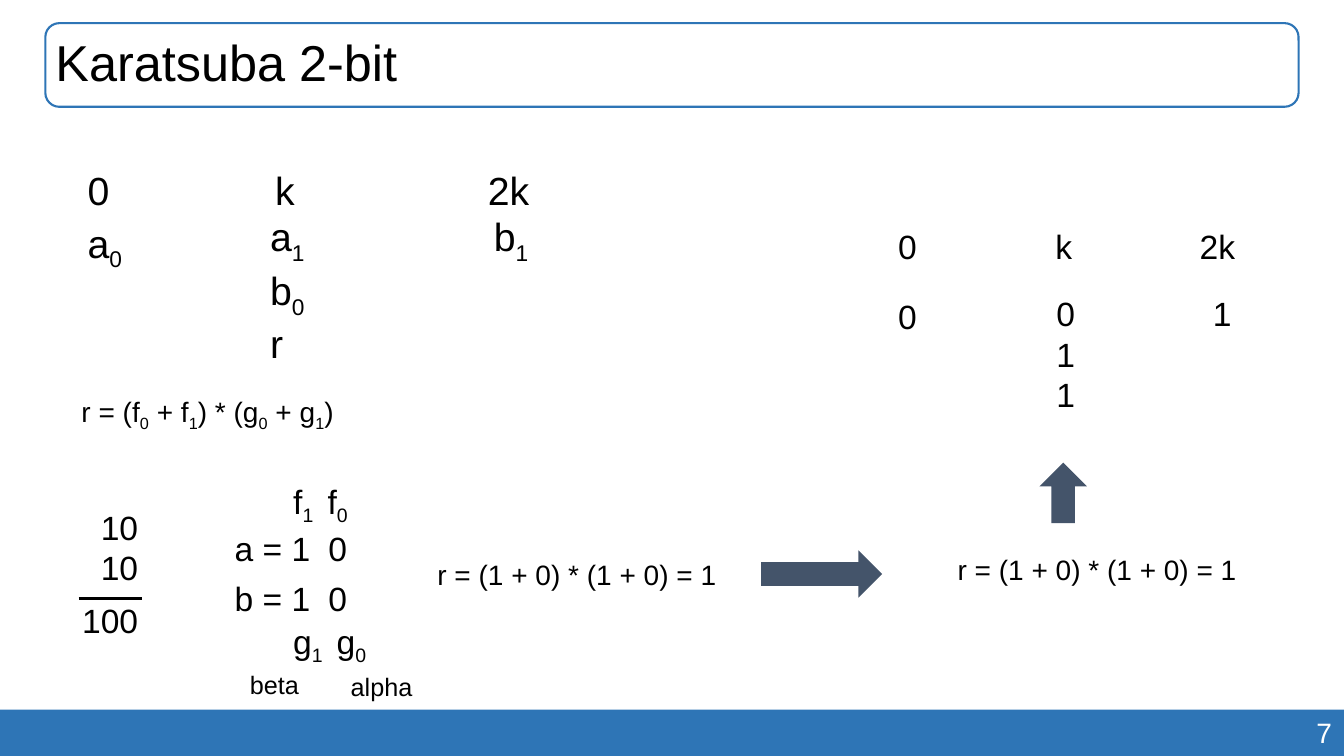
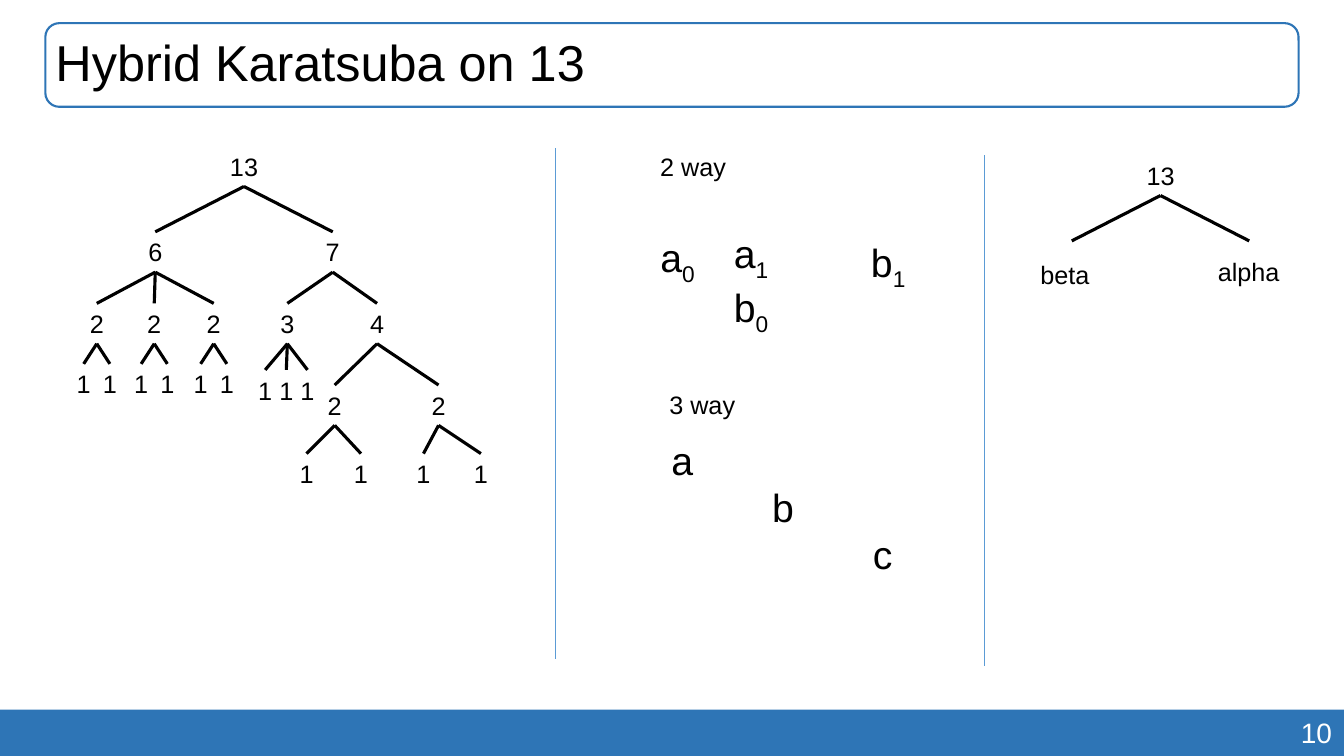
from dataclasses import dataclass

from lxml import etree
from pptx import Presentation
from pptx.dml.color import RGBColor
from pptx.enum.shapes import MSO_CONNECTOR, MSO_SHAPE
from pptx.enum.text import MSO_ANCHOR, MSO_AUTO_SIZE, PP_ALIGN
from pptx.oxml.ns import qn
from pptx.util import Inches, Pt

LEFT, MID, RIGHT = PP_ALIGN.LEFT, PP_ALIGN.CENTER, PP_ALIGN.RIGHT
RECT, ROUND = MSO_SHAPE.RECTANGLE, MSO_SHAPE.ROUNDED_RECTANGLE
EAST, NORTH = MSO_SHAPE.RIGHT_ARROW, MSO_SHAPE.UP_ARROW
STRAIGHT = MSO_CONNECTOR.STRAIGHT
TOP, BOTTOM = 0, 2
TITLE_ONLY = 5


@dataclass(frozen=True)
class Theme:
    font: str = "Arial"
    ink: str = "000000"
    paper: str = "FFFFFF"
    band: str = "2E75B6"
    arrow: str = "44546A"
    rule: str = "5B9BD5"
    title: int = 36
    large: int = 28
    text: int = 24
    note: int = 20
    small: int = 18


THEME = Theme()


def color(code):
    return RGBColor.from_string(code)


def write(frame, text, size=THEME.text, ink=THEME.ink, align=LEFT,
          lead=None, gaps=(), tabs=()):
    """Fill a frame; an underscore lowers the next character."""
    for n, row in enumerate(text.split("\n")):
        para = frame.paragraphs[0] if n == 0 else frame.add_paragraph()
        para.alignment = align
        if lead:
            para.line_spacing = lead
        if n and n <= len(gaps):
            para.space_before = Pt(gaps[n - 1])
        if tabs:
            stops = etree.SubElement(para._p.get_or_add_pPr(), qn("a:tabLst"))
            for stop in tabs:
                etree.SubElement(stops, qn("a:tab"),
                                 pos=str(Inches(stop)), algn="l")
        first, *rest = row.split("_")
        parts = [(first, False)]
        for part in rest:
            parts += [(part[0], True), (part[1:], False)]
        for part, low in parts:
            if not part:
                continue
            run = para.add_run()
            run.text = part
            run.font.name = THEME.font
            run.font.size = Pt(size)
            run.font.color.rgb = color(ink)
            if low:
                run.font._element.set("baseline", "-25000")


class Deck:
    def __init__(self, theme):
        self.theme = theme
        self.prs = Presentation()
        self.prs.slide_width = Inches(13.33)
        self.prs.slide_height = Inches(7.5)
        self.slide = None

    def page(self, title, number):
        """Start a slide with its title, frame, band and number."""
        look = self.theme
        layout = self.prs.slide_layouts[TITLE_ONLY]
        self.slide = self.prs.slides.add_slide(layout)
        place = (0.45, 0.23, 12.43, 0.83)
        head = self.slide.shapes.title
        head.left, head.top, head.width, head.height = map(Inches, place)
        head.text_frame.vertical_anchor = MSO_ANCHOR.MIDDLE
        head.text_frame.auto_size = MSO_AUTO_SIZE.NONE
        write(head.text_frame, title, size=look.title, lead=0.9)
        self.shape(ROUND, *place, line=look.band)
        self.shape(RECT, 0, 7.04, 13.33, 0.46, fill=look.band)
        self.box(str(number), 9.41, 7.05, 3.9, 0.44, size=look.note,
                 ink=look.paper, align=RIGHT)

    def shape(self, kind, x, y, w, h, fill=None, line=None):
        item = self.slide.shapes.add_shape(kind, *map(Inches, (x, y, w, h)))
        item.shadow.inherit = False
        if fill:
            item.fill.solid()
            item.fill.fore_color.rgb = color(fill)
        else:
            item.fill.background()
        if line:
            item.line.color.rgb = color(line)
            item.line.width = Pt(1.5)
        else:
            item.line.fill.background()
        return item

    def box(self, text, x, y, w, h, **style):
        item = self.slide.shapes.add_textbox(*map(Inches, (x, y, w, h)))
        item.text_frame.word_wrap = "tabs" in style
        write(item.text_frame, text, **style)
        return item

    def line(self, start, end, ink=THEME.ink, width=2.25):
        """Draw a line; each end is a point or a box to join."""
        free = [p if isinstance(p, tuple) else (0, 0) for p in (start, end)]
        item = self.slide.shapes.add_connector(
            STRAIGHT, *map(Inches, free[0] + free[1]))
        if not isinstance(start, tuple):
            item.begin_connect(start, BOTTOM)
        if not isinstance(end, tuple):
            item.end_connect(end, TOP)
        item.line.color.rgb = color(ink)
        item.line.width = Pt(width)
        etree.SubElement(item._element.spPr, qn("a:effectLst"))

    def node(self, text, x, y):
        """Write a small label centred on x."""
        wide = 0.2 + 0.14 * len(text)
        return self.box(text, x - wide / 2, y, wide, 0.4,
                        size=self.theme.small, align=MID)

    def tree(self, text, x, y, *kids):
        """Draw a node, its children and the lines between them."""
        top = self.node(text, x, y)
        for kid in kids:
            self.line(top, self.tree(*kid))
        return top


def leaves(y, *spots):
    return [("1", x, y) for x in spots]


def two_bit(deck):
    look = deck.theme
    deck.page("Karatsuba 2-bit", 7)

    # Symbolic columns
    deck.box("0\tk\t2k", 0.77, 1.6, 4.92, 0.57, size=look.large,
             tabs=(1.86, 3.97))
    deck.box("a_0", 0.77, 2.13, 0.82, 0.71, size=look.large, lead=0.9)
    deck.box("a_1\nb_0\nr", 2.58, 2.06, 0.68, 1.51, size=look.large)
    deck.box("b_1", 4.8, 2.06, 0.68, 0.57, size=look.large)
    deck.box("r = (f_0 + f_1) * (g_0 + g_1)", 0.71, 3.86, 2.79, 0.44,
             size=look.note)

    # Product by hand
    deck.box("10\n10\n100", 0.71, 4.98, 0.76, 1.45, align=RIGHT, gaps=(0, 9))
    deck.line((0.78, 5.94), (1.41, 5.94))

    # Operands and their halves
    deck.box("f_1\tf_0", 2.81, 4.72, 0.79, 0.5, tabs=(0.34,))
    deck.box("a = 1\t0\nb = 1\t0", 2.23, 5.23, 2, 0.9, lead=0.9, gaps=(10,),
             tabs=(0.93,))
    deck.box("g_1\tg_0", 2.81, 6.11, 0.98, 0.5, tabs=(0.43,))
    deck.box("beta", 2.38, 6.59, 0.69, 0.4, size=look.small)
    deck.box("alpha", 3.38, 6.61, 0.82, 0.4, size=look.small)

    # Middle term and arrows
    for x, y in ((4.24, 5.48), (9.4, 5.43)):
        deck.box("r = (1 + 0) * (1 + 0) = 1", x, y, 3.03, 0.44,
                 size=look.note)
    deck.shape(EAST, 7.55, 5.46, 1.2, 0.47, fill=look.arrow)
    deck.shape(NORTH, 10.31, 4.59, 0.47, 0.6, fill=look.arrow)

    # Numeric columns
    deck.box("0\tk\t2k", 8.81, 2.19, 3.8, 0.5, tabs=(1.56, 2.99))
    deck.box("0", 8.81, 2.93, 0.82, 0.71, lead=0.9)
    deck.box("0\n1\n1", 10.38, 2.86, 0.48, 1.31)
    deck.box("1", 11.93, 2.86, 0.39, 0.5)


def hybrid(deck):
    look = deck.theme
    deck.page("Hybrid Karatsuba on 13", 10)

    # Full split tree
    pairs = [("2", x, 3.01, *leaves(3.61, x - 0.13, x + 0.13))
             for x in (0.96, 1.53, 2.12)]
    six = ("6", 1.54, 2.3, *pairs)
    three = ("3", 2.85, 3.01, *leaves(3.67, 2.63, 2.84, 3.05))
    four = ("4", 3.74, 3.01,
            ("2", 3.32, 3.82, *leaves(4.5, 3.04, 3.58)),
            ("2", 4.35, 3.82, *leaves(4.5, 4.2, 4.77)))
    seven = ("7", 3.3, 2.3, three, four)
    deck.tree("13", 2.42, 1.45, six, seven)

    # Two-way and three-way layouts
    deck.box("2 way", 6.45, 1.45, 0.86, 0.4, size=look.small)
    deck.box("a_0", 6.45, 2.27, 0.82, 0.71, size=look.large, lead=0.9)
    deck.box("a_1\nb_0", 7.18, 2.23, 0.68, 1.04, size=look.large)
    deck.box("b_1", 8.54, 2.32, 0.82, 0.71, size=look.large, lead=0.9)
    deck.box("3 way", 6.54, 3.81, 0.86, 0.4, size=look.small)
    deck.box("a\n\tb\n\t\tc", 6.56, 4.28, 2.42, 1.51, size=look.large,
             tabs=(1, 2))

    # Top split
    root = deck.node("13", 11.51, 1.54)
    for x in (10.63, 12.39):
        deck.line(root, (x, 2.39))
    deck.box("beta", 10.22, 2.52, 0.69, 0.4, size=look.small)
    deck.box("alpha", 11.98, 2.49, 0.82, 0.4, size=look.small)

    # Dividers
    for x, y in ((5.51, 1.47), (9.76, 1.54)):
        deck.line((x, y), (x, y + 5.07), ink=look.rule, width=0.5)


def main():
    deck = Deck(THEME)
    two_bit(deck)
    hybrid(deck)
    deck.prs.save("out.pptx")


if __name__ == "__main__":
    main()
